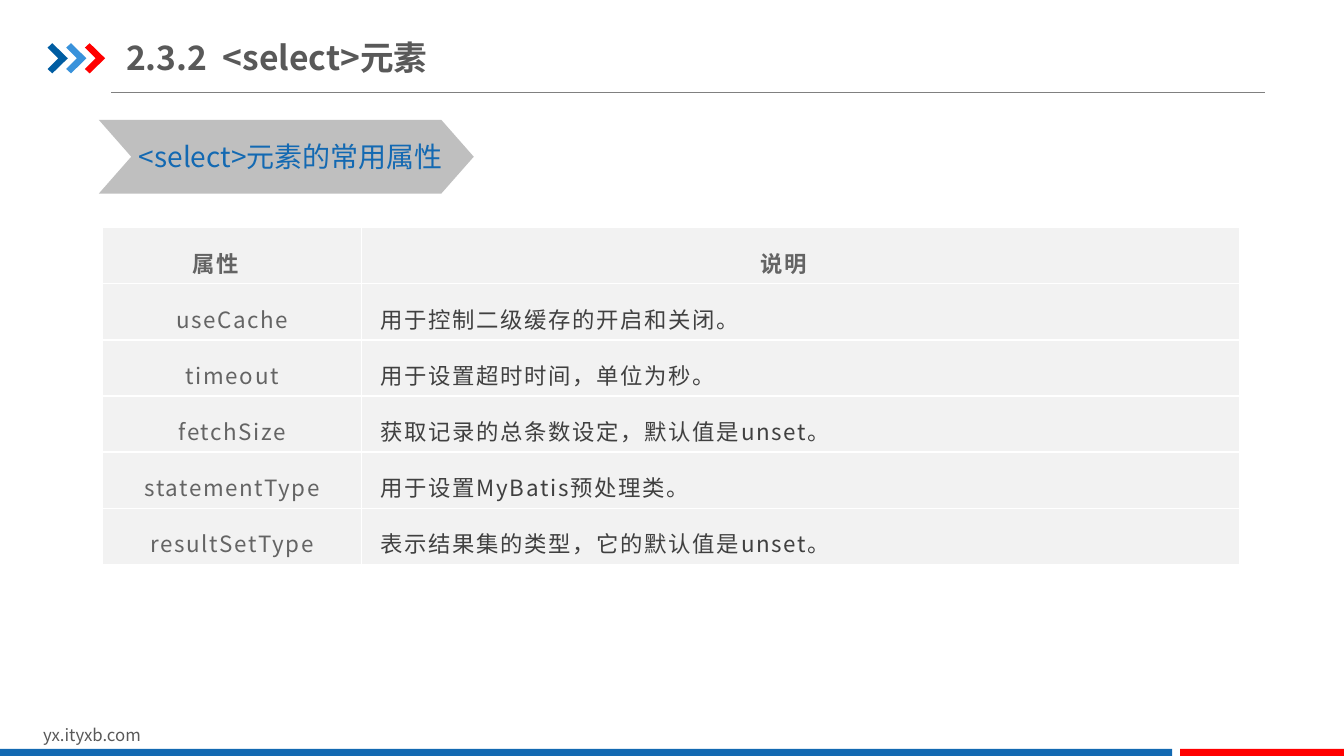
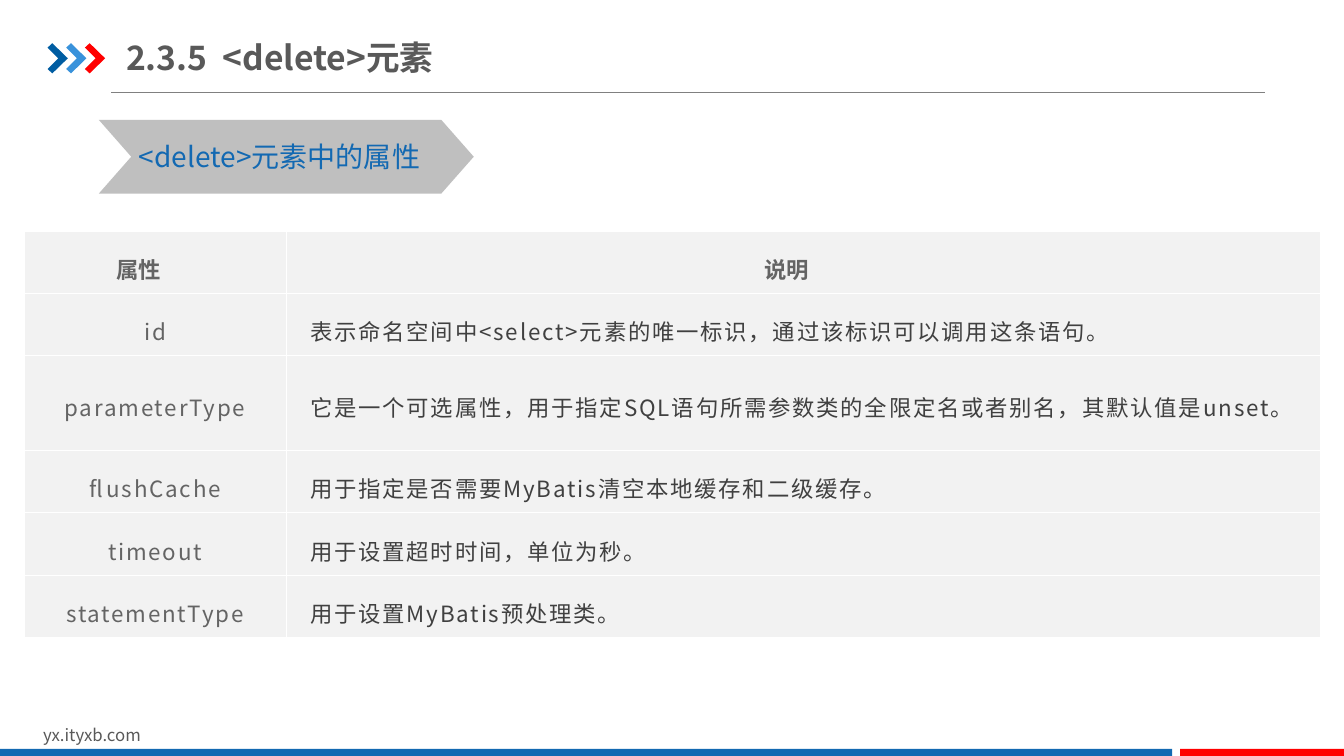
import dataclasses
import typing

import lxml.etree
import pptx
import pptx.dml.color
import pptx.enum.shapes
import pptx.enum.text
import pptx.oxml.ns
import pptx.slide
import pptx.util

Cm = pptx.util.Cm
Pt = pptx.util.Pt
qn = pptx.oxml.ns.qn
Kind = pptx.enum.shapes.MSO_SHAPE
Align = pptx.enum.text.PP_ALIGN
Anchor = pptx.enum.text.MSO_ANCHOR

FONT = "Noto Sans CJK SC"
BLUE, RED, WHITE = "1369B2", "FF0000", "FFFFFF"
DARK, BODY, HEAD = "595959", "404040", "646464"
PALE, SILVER, RULE = "F2F2F2", "BFBFBF", "808080"
MARKS = ("005DA2", "3992DB", RED)
ARROW = ((0, 0.11), (0.12, 0), (0.51, 0.38), (0.12, 0.76), (0, 0.65), (0.27, 0.38))
SHIFT = 0.84


class Box(typing.NamedTuple):
    left: float
    top: float
    width: float
    height: float

    def emu(self) -> tuple:
        return tuple(Cm(n) for n in self)


class Bar(typing.NamedTuple):
    box: Box
    color: str


class Row(typing.NamedTuple):
    name: str
    note: str
    height: float


@dataclasses.dataclass
class Grid:
    left: float
    top: float
    widths: tuple[float, float]
    pad: tuple[float, float]
    track: tuple[int, int]
    rows: list[Row]


@dataclasses.dataclass
class Page:
    title: str
    label: str
    grid: Grid


BARS = (Bar(Box(0, 18.87, 29.54, 0.23), BLUE), Bar(Box(29.74, 18.87, 4.14, 0.23), RED))


def color(code: str) -> pptx.dml.color.RGBColor:
    return pptx.dml.color.RGBColor.from_string(code)


def write(frame, text: str, size: float, tint: str, bold: bool = False,
          align=Align.LEFT, track: int = 0, lead: float = 1) -> None:
    frame.text = text
    para = frame.paragraphs[0]
    para.alignment = align
    para.line_spacing = lead
    font = para.font
    font.size, font.bold, font.name = Pt(size), bold, FONT
    font.color.rgb = color(tint)
    props = para._p.get_or_add_pPr().find(qn("a:defRPr"))
    lxml.etree.SubElement(props, qn("a:ea"), typeface=FONT)
    if track:
        props.set("spc", str(track))


def paint(shape, tint: str) -> None:
    shape.shadow.inherit = False
    shape.fill.solid()
    shape.fill.fore_color.rgb = color(tint)
    shape.line.fill.background()


def note(slide: pptx.slide.Slide, box: Box, text: str, size: float, tint: str) -> None:
    frame = slide.shapes.add_textbox(*box.emu()).text_frame
    frame.word_wrap = True
    write(frame, text, size, tint)


def frame(slide: pptx.slide.Slide) -> None:
    shapes = slide.shapes
    rule = shapes.add_connector(pptx.enum.shapes.MSO_CONNECTOR.STRAIGHT,
                                Cm(2.8), Cm(2.32), Cm(31.88), Cm(2.32))
    rule.line.color.rgb = color(RULE)
    rule.line.width = Pt(0.5)
    lxml.etree.SubElement(rule._element.spPr, qn("a:effectLst"))
    for i, tint in enumerate(MARKS):
        points = [(Cm(1.2 + 0.47 * i + x), Cm(1.09 + y)) for x, y in ARROW]
        build = shapes.build_freeform(*points[0])
        build.add_line_segments(points[1:], close=True)
        paint(build.convert_to_shape(), tint)
    note(slide, Box(0.84, 18.14, 8.08, 0.76), "yx.ityxb.com", 12, DARK)
    for bar in BARS:
        paint(shapes.add_shape(Kind.RECTANGLE, *bar.box.emu()), bar.color)


def name(slide: pptx.slide.Slide, text: str) -> None:
    title = slide.shapes.title
    title.left, title.top, title.width, title.height = Box(3.18, 0.74, 14, 1.4).emu()
    area = title.text_frame
    area.auto_size = pptx.enum.text.MSO_AUTO_SIZE.NONE
    area.vertical_anchor = Anchor.MIDDLE
    area.margin_left = area.margin_right = 0
    area.margin_top = area.margin_bottom = Cm(0.18)
    write(area, text, 24, DARK, bold=True)


def badge(slide: pptx.slide.Slide, text: str) -> None:
    shape = slide.shapes.add_shape(Kind.CHEVRON, *Box(2.49, 3.02, 9.45, 1.86).emu())
    shape.adjustments[0] = 0.44
    paint(shape, SILVER)
    note(slide, Box(3.25, 3.38, 8.6, 1.12), text, 20, BLUE)


def edge(cell) -> None:
    props = cell._tc.get_or_add_tcPr()
    for side in "LRTB":
        line = lxml.etree.SubElement(props, qn(f"a:ln{side}"), w=str(Pt(1)))
        fill = lxml.etree.SubElement(line, qn("a:solidFill"))
        lxml.etree.SubElement(fill, qn("a:srgbClr"), val=WHITE)


def table(slide: pptx.slide.Slide, grid: Grid) -> None:
    rows = grid.rows
    box = Box(grid.left, grid.top, sum(grid.widths), sum(row.height for row in rows))
    body = slide.shapes.add_table(len(rows), 2, *box.emu()).table
    body.horz_banding = False
    for col, width in zip(body.columns, grid.widths):
        col.width = Cm(width)
    side, rim = grid.pad
    for r, row in enumerate(rows):
        body.rows[r].height = Cm(row.height)
        top = r == 0
        for c, text in enumerate((row.name, row.note)):
            cell = body.cell(r, c)
            edge(cell)
            cell.fill.solid()
            cell.fill.fore_color.rgb = color(PALE)
            cell.vertical_anchor = Anchor.MIDDLE
            cell.margin_left = Cm(side)
            cell.margin_right = Cm(side + SHIFT * top)
            cell.margin_top = cell.margin_bottom = Cm(rim)
            mid = top or c == 0
            write(cell.text_frame, text, 16, HEAD if mid else BODY, bold=top,
                  align=Align.CENTER if mid else Align.LEFT,
                  track=grid.track[0 if top else 1], lead=1.2)


PAGES = [
    Page("2.3.2  <select>元素", "<select>元素的常用属性", Grid(
        2.59, 5.74, (6.53, 22.12), (0.48, 0.3), (120, 120), [
            Row("属性", "说明", 1.41),
            Row("useCache", "用于控制二级缓存的开启和关闭。", 1.41),
            Row("timeout", "用于设置超时时间，单位为秒。", 1.41),
            Row("fetchSize", "获取记录的总条数设定，默认值是unset。", 1.41),
            Row("statementType", "用于设置MyBatis预处理类。", 1.41),
            Row("resultSetType", "表示结果集的类型，它的默认值是unset。", 1.41),
        ])),
    Page("2.3.5  <delete>元素", "<delete>元素中的属性", Grid(
        0.61, 5.82, (6.6, 26.06), (0.61, 0.38), (0, 130), [
            Row("属性", "说明", 1.56),
            Row("id", "表示命名空间中<select>元素的唯一标识，通过该标识可以调用这条语句。", 1.56),
            Row("parameterType", "它是一个可选属性，用于指定SQL语句所需参数类的全限定名"
                "或者别名，其默认值是unset。", 2.36),
            Row("flushCache", "用于指定是否需要MyBatis清空本地缓存和二级缓存。", 1.56),
            Row("timeout", "用于设置超时时间，单位为秒。", 1.56),
            Row("statementType", "用于设置MyBatis预处理类。", 1.56),
        ])),
]


def main() -> None:
    deck = pptx.Presentation()
    deck.slide_width, deck.slide_height = Cm(33.87), Cm(19.05)
    plain = deck.slide_layouts.get_by_name("Title Only")
    for page in PAGES:
        slide = deck.slides.add_slide(plain)
        frame(slide)
        name(slide, page.title)
        badge(slide, page.label)
        table(slide, page.grid)
    deck.save("out.pptx")


if __name__ == "__main__":
    main()
